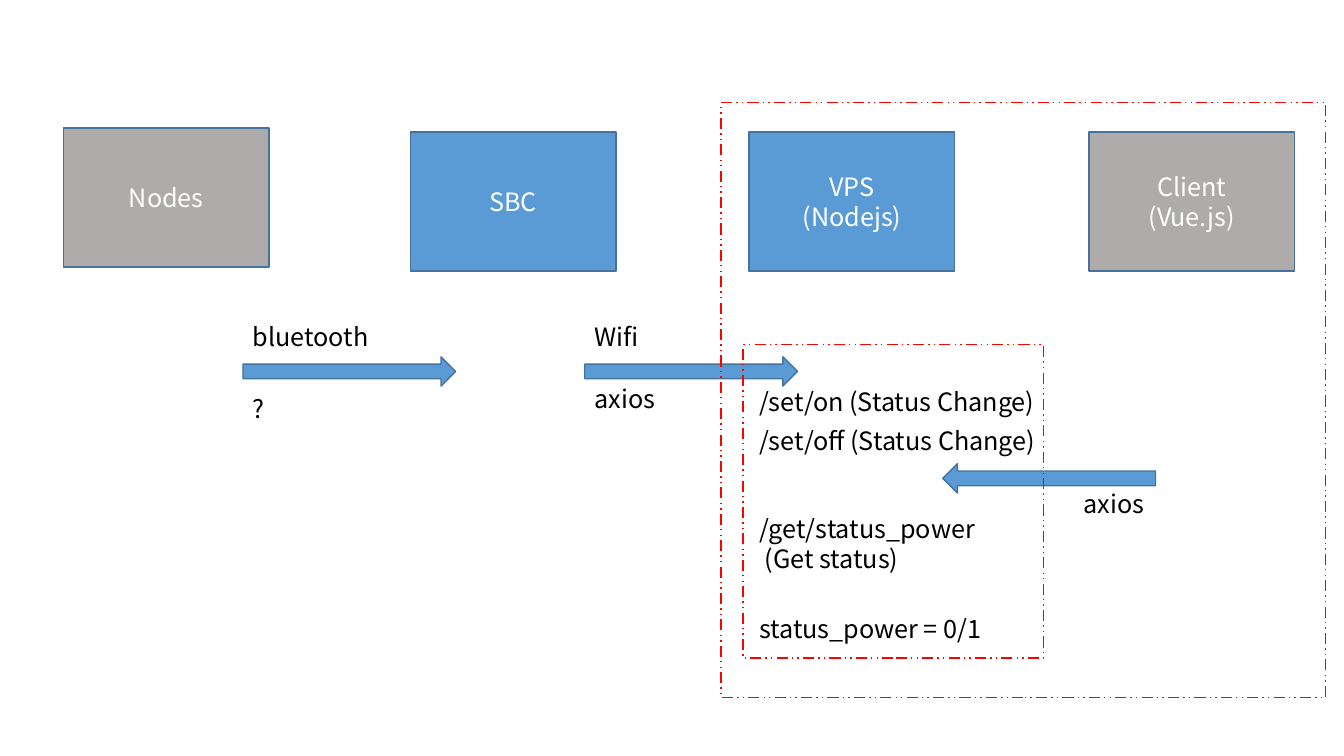
from pptx import Presentation
from pptx.dml.color import RGBColor
from pptx.enum.dml import MSO_LINE
from pptx.enum.shapes import MSO_SHAPE
from pptx.enum.text import MSO_ANCHOR, PP_ALIGN
from pptx.util import Inches, Pt

RECTANGLE, ARROW = MSO_SHAPE.RECTANGLE, MSO_SHAPE.RIGHT_ARROW
DASH = MSO_LINE.DASH_DOT_DOT
LEFT, CENTER = PP_ALIGN.LEFT, PP_ALIGN.CENTER
TOP, MIDDLE = MSO_ANCHOR.TOP, MSO_ANCHOR.MIDDLE

BLUE = RGBColor(0x5B, 0x9B, 0xD5)
DARK_BLUE = RGBColor(0x43, 0x73, 0x9E)
GRAY = RGBColor(0xAF, 0xAB, 0xAB)
RED = RGBColor(0xFF, 0x00, 0x00)
WHITE = RGBColor(0xFF, 0xFF, 0xFF)
BLACK = RGBColor(0x00, 0x00, 0x00)

FONT = "Noto Sans CJK KR"
LABEL_WIDTH, LINE_HEIGHT = 1.57, 0.4


def write(frame, lines, color, align, anchor):
    frame.word_wrap = True
    frame.vertical_anchor = anchor
    for number, line in enumerate(lines):
        paragraph = frame.add_paragraph() if number else frame.paragraphs[0]
        paragraph.alignment = align
        run = paragraph.add_run()
        run.text = line
        style = {"name": FONT, "size": Pt(18)}
        for attribute, value in style.items():
            setattr(run.font, attribute, value)
        run.font.color.rgb = color


def add_outlined(slide, preset, box, fill, outline):
    shape = slide.shapes.add_shape(preset, *map(Inches, box))
    shape.shadow.inherit = False
    if fill is None:
        shape.fill.background()
    else:
        shape.fill.solid()
        shape.fill.fore_color.rgb = fill
    shape.line.color.rgb = outline
    shape.line.width = Pt(1)
    return shape


def add_label(slide, box, *lines):
    label = slide.shapes.add_textbox(*map(Inches, box))
    write(label.text_frame, lines, BLACK, LEFT, TOP)


def add_device(slide, box, fill, lines):
    device = add_outlined(slide, RECTANGLE, box, fill, DARK_BLUE)
    write(device.text_frame, lines, WHITE, CENTER, MIDDLE)


def add_arrow(slide, box, rotation=0):
    add_outlined(slide, ARROW, box, BLUE, DARK_BLUE).rotation = rotation


def add_frame(slide, box):
    add_outlined(slide, RECTANGLE, box, None, RED).line.dash_style = DASH


def add_link(slide, box, medium, library, library_offset):
    """Arrow to the right, its medium above and its library below."""
    left, top, width, height = box
    add_arrow(slide, box)
    add_label(slide, (left, top - LINE_HEIGHT, LABEL_WIDTH, LINE_HEIGHT), medium)
    add_label(slide, (left, top + library_offset, LABEL_WIDTH, LINE_HEIGHT), library)


def add_request(slide, box):
    """Arrow from the client back to the server."""
    left, top, width, height = box
    add_arrow(slide, box, 180)
    add_label(slide, (left + 1.3, top + 0.2, LABEL_WIDTH, LINE_HEIGHT), "axios")


def add_endpoints(slide, box):
    """Dashed frame around the server's routes and state."""
    left, top, width, height = box
    routes = [
        (0.36, ["/set/on (Status Change)"]),
        (0.75, ["/set/off (Status Change)"]),
        (1.62, ["/get/status_power", " (Get status)"]),
        (2.62, ["status_power = 0/1"]),
    ]
    for offset, lines in routes:
        route_box = (left + 0.06, top + offset, 2.99, LINE_HEIGHT)
        add_label(slide, route_box, *lines)
    add_frame(slide, box)


def build_architecture(slide):
    # Devices
    devices = [
        (0.63, 1.27, GRAY, ["Nodes"]),
        (4.07, 1.31, BLUE, ["SBC"]),
        (7.43, 1.31, BLUE, ["VPS", "(Nodejs)"]),
        (10.8, 1.31, GRAY, ["Client", "(Vue.js)"]),
    ]
    for left, top, fill, lines in devices:
        add_device(slide, (left, top, 2.04, 1.38), fill, lines)

    # Links between devices
    add_link(slide, (2.41, 3.54, 2.11, 0.29), "bluetooth", "?", 0.31)
    add_link(slide, (5.8, 3.54, 2.11, 0.29), "Wifi", "axios", 0.21)
    add_request(slide, (9.35, 4.6, 2.11, 0.29))

    # Server routes and the web application boundary
    add_endpoints(slide, (7.37, 3.42, 2.98, 3.11))
    add_frame(slide, (7.15, 1.02, 6, 5.9))


presentation = Presentation()
presentation.slide_width = Inches(13.33)
presentation.slide_height = Inches(7.5)
BLANK_LAYOUT = presentation.slide_layouts[6]
build_architecture(presentation.slides.add_slide(BLANK_LAYOUT))
presentation.save("out.pptx")
